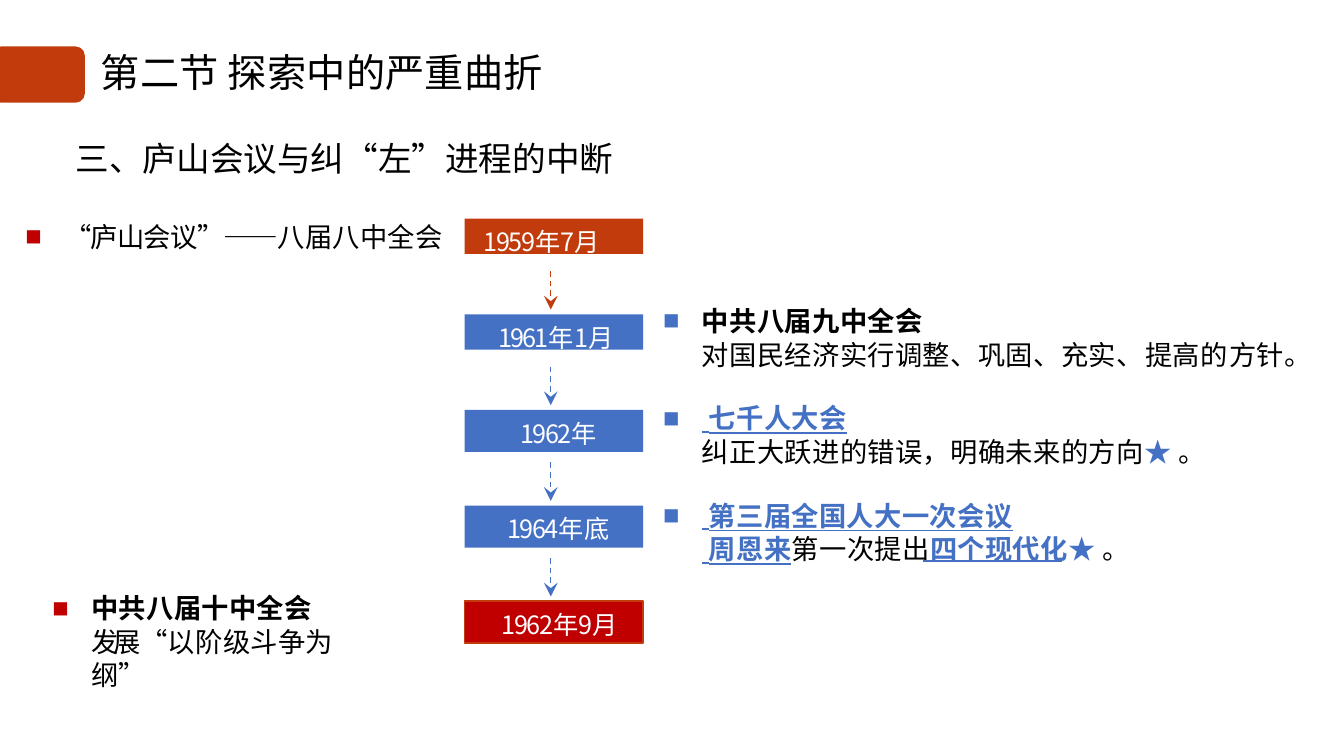
from lxml import etree
from pptx import Presentation
from pptx import util as u
from pptx.dml.color import RGBColor
from pptx.enum import dml, shapes, text
from pptx.oxml import ns

RUST = RGBColor(0xC2, 0x3B, 0x0D)
BLUE = RGBColor(0x44, 0x71, 0xC4)
RED = RGBColor(0xC0, 0x00, 0x00)
BLACK = RGBColor(0x00, 0x00, 0x00)
WHITE = RGBColor(0xFF, 0xFF, 0xFF)

SC, TC, SERIF = "Noto Sans CJK SC", "Noto Sans CJK TC", "Times New Roman"
BODY = {"size": 19.5, "name": TC, "color": BLACK, "spacing": 0.2}
BOLD = BODY | {"bold": True}
KEY = BOLD | {"color": BLUE}
KEY_LINE = KEY | {"underline": True}
LEAD = KEY_LINE | {"name": SERIF, "bold": False, "spacing": -4.6}
STAR = BODY | {"name": SC, "color": BLUE}
HEADING = BODY | {"size": 24, "spacing": 0}
TITLE = BODY | {"size": 28, "name": SC}
DATE = BODY | {"size": 18, "color": WHITE}

INDENT = 0.98
BODY_LINE = 23.4
GAP = 22


def add_element(parent, tag, **values):
    """Append a DrawingML element with the given attributes."""
    return etree.SubElement(parent, ns.qn(f"a:{tag}"), **values)


def add_span(para, words, look):
    """Append a run in the given look."""
    span = para.add_run()
    span.text = words
    for name, value in look.items():
        if name == "size":
            span.font.size = u.Pt(value)
        elif name == "color":
            span.font.color.rgb = value
        elif name != "spacing":
            setattr(span.font, name, value)
    props = span.font._element
    props.set("spc", str(round(look["spacing"] * 100)))
    add_element(props, "ea", typeface=look["name"])


def add_para(frame, spans, line=None, before=0, indent=0, bullet=None):
    """Fill the first empty paragraph or add one, with an optional square bullet."""
    first = not frame.paragraphs[0].runs
    para = frame.paragraphs[0] if first else frame.add_paragraph()
    props = para._p.get_or_add_pPr()
    props.set("marL", str(u.Cm(indent)))
    props.set("indent", str(u.Cm(-indent if bullet else 0)))
    if bullet:
        add_element(add_element(props, "buClr"), "srgbClr", val=str(bullet))
        add_element(props, "buFont", typeface=SERIF)
        add_element(props, "buChar", char="■")
    form = {"alignment": text.PP_ALIGN.LEFT, "space_before": u.Pt(before)}
    if line:
        form["line_spacing"] = u.Pt(line)
    for name, value in form.items():
        setattr(para, name, value)
    for words, look in spans:
        add_span(para, words, look)


def prepare_frame(frame, top=0.1, anchor=text.MSO_ANCHOR.TOP):
    """Set the wrapping, anchor and insets of a text frame."""
    form = {"word_wrap": True, "vertical_anchor": anchor, "margin_left": 0,
            "margin_right": 0, "margin_top": u.Cm(top), "margin_bottom": 0}
    for name, value in form.items():
        setattr(frame, name, value)
    return frame


def add_text(page, box, **form):
    """Add a text box and return its frame."""
    return prepare_frame(page.shapes.add_textbox(*map(u.Cm, box)).text_frame, **form)


def add_block(page, box, kind, fill, line=None):
    """Add a flat filled shape."""
    block = page.shapes.add_shape(kind, *map(u.Cm, box))
    block.shadow.inherit = False
    block.fill.solid()
    block.fill.fore_color.rgb = fill
    if line:
        block.line.color.rgb = line
        block.line.width = u.Pt(1.2)
    else:
        block.line.fill.background()
    return block


def add_line(page, start, end, color, width):
    """Add a straight line without a shadow."""
    line = page.shapes.add_connector(shapes.MSO_CONNECTOR.STRAIGHT,
                                     *map(u.Cm, (*start, *end)))
    line.line.color.rgb = color
    line.line.width = u.Pt(width)
    add_element(line._element.spPr, "effectLst")
    return line


def add_header(page, box):
    """Place the rounded tab and the section title in the box."""
    left, top, width, height = box
    add_block(page, (left, top, 2.34, height),
              shapes.MSO_SHAPE.ROUNDED_RECTANGLE, RUST)
    frame = add_text(page, (left + 2.74, top - 0.07, width - 2.74, height),
                     top=0, anchor=text.MSO_ANCHOR.MIDDLE)
    add_para(frame, [("第二节 探索中的严重曲折", TITLE)])


def add_topic(page, box):
    """Place the topic heading and its opening event."""
    frame = add_text(page, box, top=0.06)
    add_para(frame, [("三、庐山会议与纠“左”进程的中断", HEADING)], 30, indent=1.27)
    add_para(frame, [("“庐山会议”——", BODY | {"spacing": -0.6}), ("八届八中全会", BODY)],
             BODY_LINE, 29.8, INDENT, RED)


def add_timeline(page, box):
    """Stack the dates down the box and join them with dashed arrows."""
    left, top, width, step = box
    dates = [
        (RUST, None, 0.89, 0.48, [("1959", -1), ("年", 0), ("7", -0.7), ("月", 0)]),
        (BLUE, None, 0.89, 0.86, [("1961", -1.4), ("年", -0.1), ("1", -1.9), ("月", 0)]),
        (BLUE, None, 1.06, 1.4, [("1962", -1), ("年", 0)]),
        (BLUE, None, 1.06, 1.07, [("1964", -1), ("年底", 0)]),
        (RED, RUST, 1.06, 0.94, [("1962", -1.1), ("年", -0.1), ("9", -0.7), ("月", 0)]),
    ]
    middle = left + 2.17
    for row, (fill, line, height, indent, parts) in enumerate(dates):
        y = top + row * step
        block = add_block(page, (left, y, width, height),
                          shapes.MSO_SHAPE.RECTANGLE, fill, line)
        spans = [(words, DATE | {"spacing": gap}) for words, gap in parts]
        add_para(prepare_frame(block.text_frame, top=0.25), spans, 20.3, indent=indent)
        if row < len(dates) - 1:
            arrow = add_line(page, (middle, y + 1.32), (middle, y + 2.29), fill, 1)
            arrow.line.dash_style = dml.MSO_LINE.DASH
            add_element(arrow.line._get_or_add_ln(), "tailEnd",
                        type="stealth", w="lg", len="lg")


def add_events(page, box):
    """Place the bulleted events and the rule under the closing words."""
    left, top, width, height = box
    frame = add_text(page, box)
    events = [
        ([("中共八届九中全会", BOLD)],
         [("对国民经济实行调整、巩固、充实", BODY), ("、", BODY | {"spacing": 0.8}),
          ("提高", BODY), ("的", BODY | {"spacing": 0.8}), ("方针。", BODY)]),
        ([(" ", LEAD), ("七千人大会", KEY_LINE)],
         [("纠正大跃进的错误，明确未来的方向", BODY), ("★ ", STAR), ("。", BODY)]),
        ([(" ", LEAD), ("第三届全国人大一次会议", KEY_LINE)],
         [(" ", LEAD), ("周恩来", KEY_LINE), ("第一次提出", BODY),
          ("四个现代化", KEY), ("★ ", STAR), ("。", BODY)]),
    ]
    for row, (name, detail) in enumerate(events):
        add_para(frame, name, BODY_LINE, GAP if row else 0, INDENT, BLUE)
        add_para(frame, detail, BODY_LINE, 0.6, INDENT)
    y = top + height - 0.03
    add_line(page, (left + 6.56, y), (left + 10.06, y), BLUE, 1.2)


def add_outcome(page, box):
    """Place the closing event."""
    frame = add_text(page, box)
    add_para(frame, [("中共八届十中全会", BOLD)], BODY_LINE, 0, INDENT, RED)
    add_para(frame, [("发展", BODY | {"spacing": -4}), ("“", BODY | {"spacing": -3.9}),
                     ("以阶级斗争为纲", BODY), ("”", BODY | {"spacing": -12.4})],
             BODY_LINE, 0.6, INDENT)


def main():
    """Build the slide and save the deck."""
    deck = Presentation()
    deck.slide_width, deck.slide_height = u.Cm(33.87), u.Cm(19.05)
    page = deck.slides.add_slide(deck.slide_layouts[6])
    add_header(page, (-0.2, 1.17, 18.06, 1.42))
    add_timeline(page, (11.71, 5.51, 4.5, 2.41))
    add_events(page, (16.71, 7.57, 16.46, 6.6))
    add_outcome(page, (1.32, 14.81, 7.82, 1.75))
    add_topic(page, (0.64, 3.38, 14.86, 2.95))
    deck.save("out.pptx")


if __name__ == "__main__":
    main()
